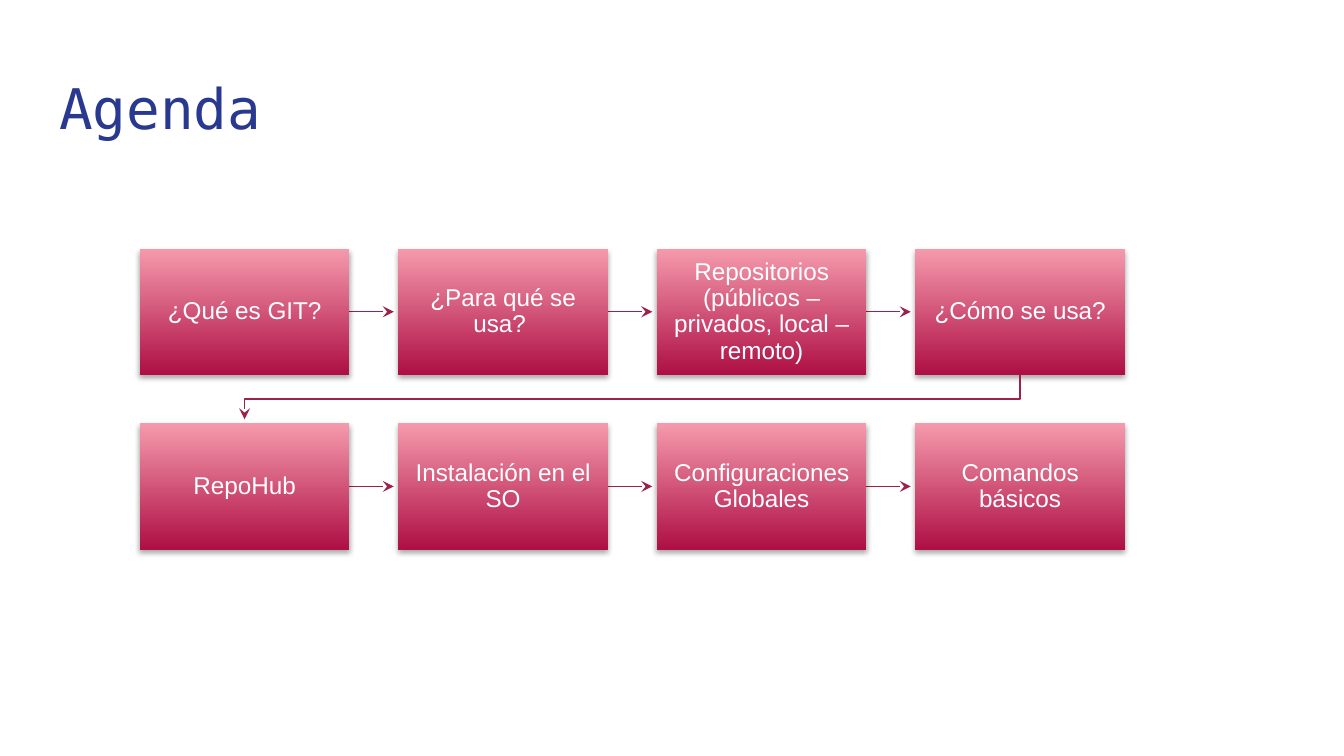
from lxml import etree
from pptx import Presentation
from pptx import util as u
from pptx.dml.color import RGBColor
from pptx.enum import shapes, text
from pptx.oxml.ns import qn

STEPS = [
    "¿Qué es GIT?", "¿Para qué se usa? ",
    "Repositorios (públicos – privados, local –remoto)", "¿Cómo se usa?",
    "RepoHub", "Instalación en el SO", "Configuraciones Globales", "Comandos básicos",
]
COLUMNS = 4
LEFT, LAST_LEFT, TOP = 1.04, 6.81, 1.85
BOX_WIDTH, BOX_HEIGHT = 1.56, 0.94
COLUMN_STEP = (LAST_LEFT - LEFT) / (COLUMNS - 1)
ROW_STEP = 1.3
ARROW_LENGTH = 0.33


def color(value):
    return RGBColor.from_string(value)


def style_arrow(shape):
    shape.line.color.rgb = color("9C224B")
    shape.line.width = u.Pt(0.75)
    properties = shape._element.spPr
    etree.SubElement(properties.find(qn("a:ln")), qn("a:tailEnd"), type="stealth")
    if properties.find(qn("a:effectLst")) is None:
        etree.SubElement(properties, qn("a:effectLst"))


presentation = Presentation()
presentation.slide_width = u.Inches(10)
presentation.slide_height = u.Inches(10 * 9 / 16)
slide = presentation.slides.add_slide(presentation.slide_layouts[5])

title = slide.shapes.title
title.left, title.top = u.Inches(0.34), u.Inches(0.45)
title.width, title.height = u.Inches(7.82), u.Inches(0.66)
frame = title.text_frame
frame.text = "Agenda"
title_format = {
    "margin_left": u.Inches(0.1), "margin_right": u.Inches(0.1),
    "margin_top": u.Inches(0.1), "margin_bottom": u.Inches(0.1),
    "vertical_anchor": text.MSO_ANCHOR.TOP, "auto_size": text.MSO_AUTO_SIZE.NONE,
}
for name, value in title_format.items():
    setattr(frame, name, value)
paragraph = frame.paragraphs[0]
paragraph.alignment = text.PP_ALIGN.LEFT
paragraph.font.name = "DejaVu Sans Mono"
paragraph.font.size = u.Pt(30)
paragraph.font.color.rgb = color("2A3990")

box_format = {
    "margin_left": u.Inches(0.08), "margin_right": u.Inches(0.08),
    "margin_top": u.Inches(0.08), "margin_bottom": u.Inches(0.08),
    "vertical_anchor": text.MSO_ANCHOR.MIDDLE, "word_wrap": True,
}
for index, step in enumerate(STEPS):
    row, column = divmod(index, COLUMNS)
    left = LEFT + column * COLUMN_STEP
    top = TOP + row * ROW_STEP

    if column < COLUMNS - 1:
        start, middle = left + BOX_WIDTH, top + BOX_HEIGHT / 2
        arrow = slide.shapes.add_connector(
            shapes.MSO_CONNECTOR.STRAIGHT, u.Inches(start), u.Inches(middle),
            u.Inches(start + ARROW_LENGTH), u.Inches(middle))
        style_arrow(arrow)

    box = slide.shapes.add_shape(
        shapes.MSO_SHAPE.RECTANGLE, u.Inches(left), u.Inches(top),
        u.Inches(BOX_WIDTH), u.Inches(BOX_HEIGHT))
    box.fill.gradient()
    box.fill.gradient_angle = 90
    for stop, value in zip(box.fill.gradient_stops, ("AE0F45", "F59AAC")):
        stop.color.rgb = color(value)
    box.line.fill.background()
    box.shadow.inherit = False
    effects = box._element.spPr.find(qn("a:effectLst"))
    shadow = etree.SubElement(
        effects, qn("a:outerShdw"), blurRad=str(u.Pt(3.1)), dist=str(u.Pt(1.8)),
        dir="5400000", rotWithShape="0")
    black = etree.SubElement(shadow, qn("a:srgbClr"), val="000000")
    etree.SubElement(black, qn("a:alpha"), val="35000")

    frame = box.text_frame
    frame.text = step
    for name, value in box_format.items():
        setattr(frame, name, value)
    paragraph = frame.paragraphs[0]
    paragraph.alignment = text.PP_ALIGN.CENTER
    paragraph.line_spacing = 0.9
    paragraph.font.name = "Arial"
    paragraph.font.size = u.Pt(13)
    paragraph.font.color.rgb = color("FFFFFF")

# Arrow from the end of the first row to the start of the second
first_center = LEFT + BOX_WIDTH / 2
last_center = LAST_LEFT + BOX_WIDTH / 2
row_end = TOP + BOX_HEIGHT
turn = (row_end + TOP + ROW_STEP) / 2
points = [(last_center, turn), (first_center, turn), (first_center, row_end + ARROW_LENGTH)]
builder = slide.shapes.build_freeform(u.Inches(last_center), u.Inches(row_end))
builder.add_line_segments([(u.Inches(x), u.Inches(y)) for x, y in points], close=False)
return_arrow = builder.convert_to_shape()
return_arrow.fill.background()
return_arrow.shadow.inherit = False
style_arrow(return_arrow)

presentation.save("out.pptx")
